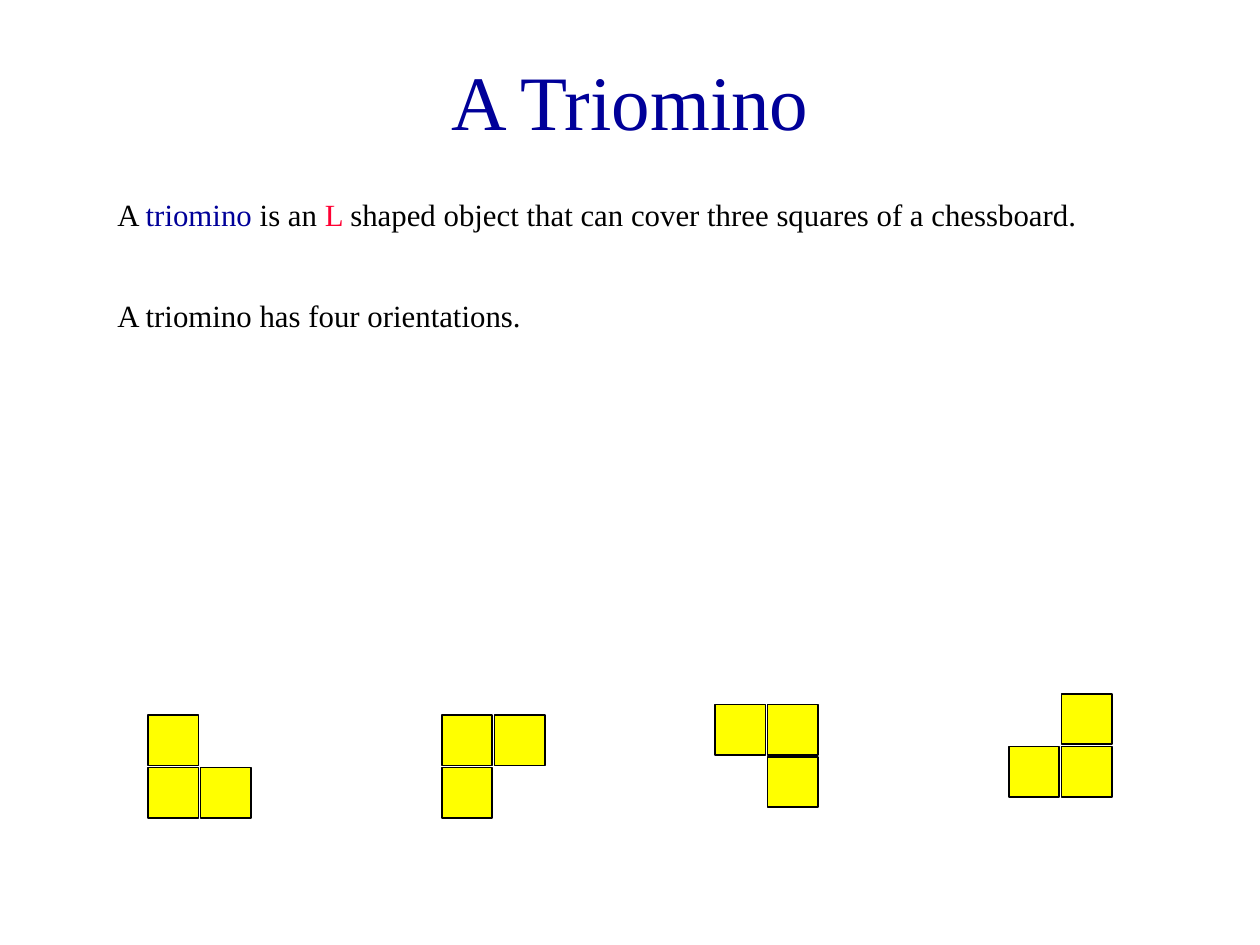
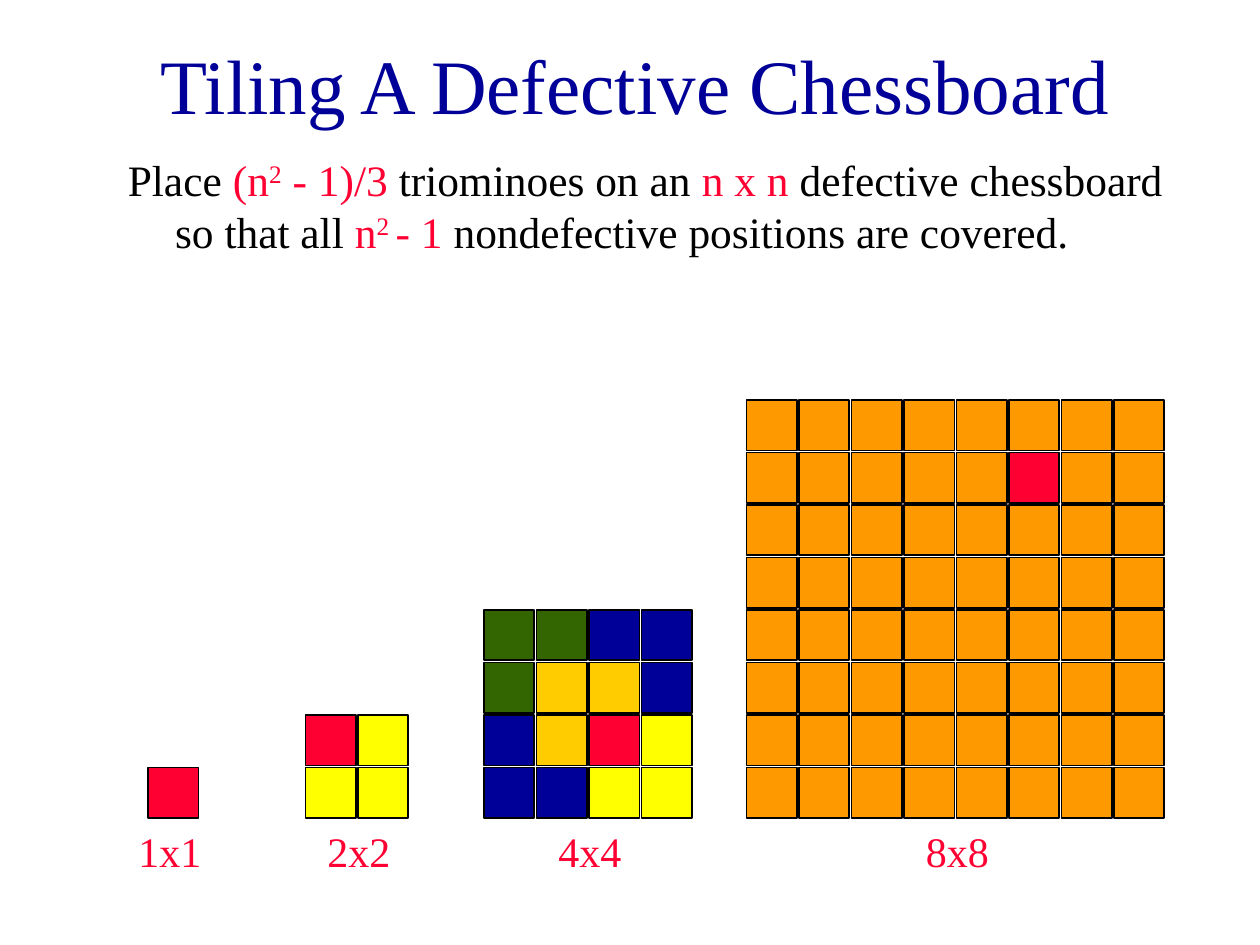
import pptx
import pptx.dml.color
import pptx.enum.shapes
import pptx.enum.text
import pptx.util

PX = pptx.util.Inches(1) // 120
FONT = "Times New Roman"
NAVY, RED, BLACK = "000099", "FF0033", "000000"
TILE_COLOURS = {"Y": "FFFF00", "R": RED, "B": NAVY,
                "G": "336600", "A": "FFCC00", "O": "FF9900"}
TILE, PITCH = 48, 50


def style(font, size, colour):
    font.name = FONT
    font.size = pptx.util.Pt(size)
    font.color.rgb = pptx.dml.color.RGBColor.from_string(colour)


def draw_tiles(slide, left, top, rows):
    """Draw one group of squares; each letter is a colour, a space is a gap."""
    group = slide.shapes.add_group_shape()
    for r, row in enumerate(rows):
        for c, letter in enumerate(row):
            if letter == " ":
                continue
            tile = group.shapes.add_shape(
                pptx.enum.shapes.MSO_SHAPE.RECTANGLE,
                (left + c * PITCH) * PX, (top + r * PITCH) * PX,
                TILE * PX, TILE * PX)
            tile.shadow.inherit = False
            tile.fill.solid()
            tile.fill.fore_color.rgb = pptx.dml.color.RGBColor.from_string(
                TILE_COLOURS[letter])
            tile.line.color.rgb = pptx.dml.color.RGBColor.from_string(BLACK)
            tile.line.width = pptx.util.Pt(1)


deck = pptx.Presentation()
deck.slide_width, deck.slide_height = 1200 * PX, 900 * PX

# Titles and body text: each paragraph is (space before, runs),
# each run is (text, colour, superscript)
pages = [
    ("A Triomino", (90, 20, 1020, 150), (100, 180, 1020, 160), 17.6, [
        (8, [("A ", BLACK, False), ("triomino ", NAVY, False),
             ("is an", BLACK, False), (" L ", RED, False),
             ("shaped object that can cover three squares of a chessboard.",
              BLACK, False)]),
        (37, [("A triomino has four orientations.", BLACK, False)]),
    ]),
    ("Tiling A Defective Chessboard", (90, 20, 1030, 120),
     (110, 140, 1020, 160), 24.8, [
        (8, [("Place ", BLACK, False), ("(n", RED, False), ("2", RED, True),
             (" - 1)/3 ", RED, False), ("triominoes on an ", BLACK, False),
             ("n x n ", RED, False),
             ("defective chessboard so that all ", BLACK, False),
             ("n", RED, False), ("2 ", RED, True), ("- 1 ", RED, False),
             ("nondefective positions are covered.", BLACK, False)]),
    ]),
]
for heading, heading_box, body_box, body_size, paragraphs in pages:
    slide = deck.slides.add_slide(deck.slide_layouts[5])
    title = slide.shapes.title
    title.left, title.top, title.width, title.height = (
        v * PX for v in heading_box)
    title.text_frame.text = heading
    title.text_frame.auto_size = pptx.enum.text.MSO_AUTO_SIZE.NONE
    title.text_frame.vertical_anchor = pptx.enum.text.MSO_ANCHOR.MIDDLE
    title_line = title.text_frame.paragraphs[0]
    title_line.alignment = pptx.enum.text.PP_ALIGN.CENTER
    style(title_line.runs[0].font, 44, NAVY)

    body = slide.shapes.add_textbox(*(v * PX for v in body_box)).text_frame
    body.word_wrap = True
    for i, (space_before, runs) in enumerate(paragraphs):
        paragraph = body.add_paragraph() if i else body.paragraphs[0]
        paragraph.space_before = pptx.util.Pt(space_before)
        # Hanging indent
        properties = paragraph._p.get_or_add_pPr()
        properties.set("marL", str(45 * PX))
        properties.set("indent", str(-45 * PX))
        for text, colour, superscript in runs:
            run = paragraph.add_run()
            run.text = text
            style(run.font, body_size, colour)
            if superscript:
                run.font._element.set("baseline", "30000")

triomino_slide, tiling_slide = deck.slides

# The four orientations
for left, top, rows in [(141, 681, ["Y ", "YY"]), (421, 681, ["YY", "Y "]),
                        (681, 671, ["YY", " Y"]), (961, 661, [" Y", "YY"])]:
    draw_tiles(triomino_slide, left, top, rows)

# Defective chessboards, standing on a common bottom row
BOTTOM_ROW = 731
boards = [
    (141, 120, ["R"]),
    (291, 300, ["RY", "YY"]),
    (461, 520, ["GGBB", "GAAB", "BARY", "BBYY"]),
    (711, 870, ["O" * 8, "OOOOOROO"] + ["O" * 8] * 6),
]
for left, label_left, rows in boards:
    n = len(rows)
    draw_tiles(tiling_slide, left, BOTTOM_ROW - (n - 1) * PITCH, rows)
    label = tiling_slide.shapes.add_textbox(
        label_left * PX, 780 * PX, 100 * PX, 60 * PX).text_frame
    label.word_wrap = True
    label.text = f"{n}x{n}"
    label.paragraphs[0].space_before = pptx.util.Pt(15)
    style(label.paragraphs[0].runs[0].font, 24, RED)

deck.save("out.pptx")
